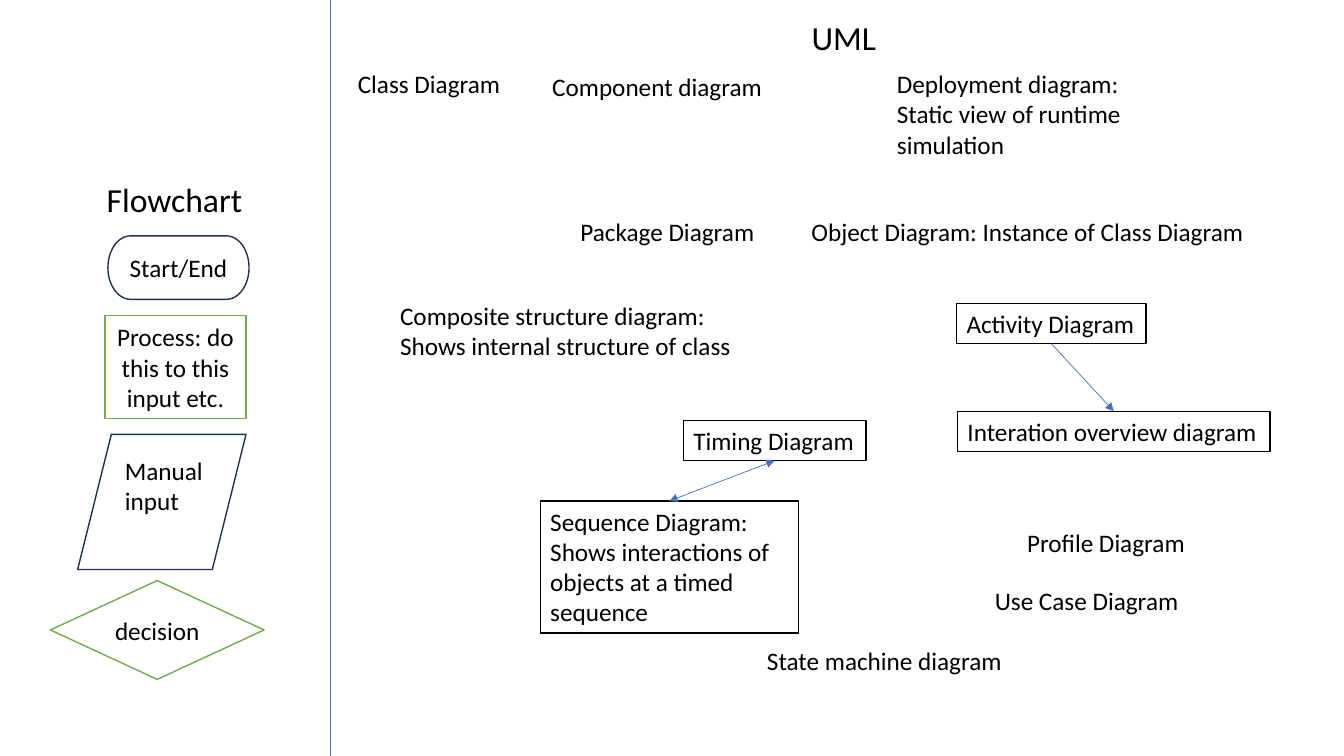
from lxml import etree
from pptx import Presentation, util as u
from pptx.dml.color import RGBColor
from pptx.enum import shapes, text
from pptx.oxml.ns import qn

BLACK = RGBColor(0x00, 0x00, 0x00)
WHITE = RGBColor(0xFF, 0xFF, 0xFF)
NAVY = RGBColor(0x1E, 0x32, 0x56)
GREEN = RGBColor(0x70, 0xAD, 0x47)
BLUE = RGBColor(0x44, 0x72, 0xC4)
WIDTH, HEIGHT = u.Inches(13.33), u.Inches(7.5)
COLUMN, ROW = WIDTH / 100, HEIGHT / 100
DIVIDER = 24.6
LINE, TWO_LINES, THREE_LINES, HEADING = 5.33, 9.47, 13.47, 6.67
LEFT, CENTER = text.PP_ALIGN.LEFT, text.PP_ALIGN.CENTER
TOP, MIDDLE = text.MSO_ANCHOR.TOP, text.MSO_ANCHOR.MIDDLE
KIND = shapes.MSO_SHAPE


def place(origin, left, top, width, height):
    """Turn grid columns and rows, counted from a region's corner, into lengths."""
    return (u.Emu(round((origin[0] + left) * COLUMN)), u.Emu(round((origin[1] + top) * ROW)),
            u.Emu(round(width * COLUMN)), u.Emu(round(height * ROW)))


def write(box, wording, size=18, align=LEFT, anchor=TOP, wrap=False,
          fit=text.MSO_AUTO_SIZE.SHAPE_TO_FIT_TEXT):
    """Fill a box with black Calibri text."""
    frame = box.text_frame
    frame.text = wording
    for name, value in {"word_wrap": wrap, "auto_size": fit, "vertical_anchor": anchor}.items():
        setattr(frame, name, value)
    for para in frame.paragraphs:
        para.alignment = align
        for name, value in {"name": "Calibri", "size": u.Pt(size)}.items():
            setattr(para.font, name, value)
        para.font.color.rgb = BLACK


def add_label(page, area, wording, **style):
    """Add a plain text box."""
    write(page.shapes.add_textbox(*area), wording, **style)


def add_outlined(page, kind, area, color, filled=True):
    """Add a shape with a thin outline."""
    box = page.shapes.add_shape(kind, *area)
    box.shadow.inherit = False
    if filled:
        box.fill.solid()
        box.fill.fore_color.rgb = WHITE
    else:
        box.fill.background()
    box.line.color.rgb = color
    box.line.width = u.Pt(1)
    return box


def add_line(page, start=(0, 0), end=(0, 0), arrows=()):
    """Add a thin blue straight line with optional arrowheads."""
    line = page.shapes.add_connector(shapes.MSO_CONNECTOR.STRAIGHT, *start, *end)
    line.line.color.rgb = BLUE
    line.line.width = u.Pt(0.5)
    for arrow in arrows:
        etree.SubElement(line.line._get_or_add_ln(), qn(f"a:{arrow}"), type="triangle")
    etree.SubElement(line._element.spPr, qn("a:effectLst"))
    return line


def add_flowchart(page, origin):
    """Draw the flowchart symbols under their heading."""
    add_label(page, place(origin, 7.2, 23.07, 11.7, HEADING), "Flowchart", size=24)
    symbols = [
        (KIND.FLOWCHART_TERMINATOR, (8.03, 31.2, 10.5, 8.4), NAVY, "Start/End"),
        (KIND.FLOWCHART_PROCESS, (7.8, 41.73, 10.5, 13.6), GREEN,
         "Process: do this to this input etc."),
        (KIND.FLOWCHART_DECISION, (3.75, 76.8, 15.9, 13.07), GREEN, "decision"),
    ]
    for kind, cells, color, wording in symbols:
        symbol = add_outlined(page, kind, place(origin, *cells), color)
        write(symbol, wording, align=CENTER, anchor=MIDDLE, wrap=True,
              fit=text.MSO_AUTO_SIZE.NONE)
    add_outlined(page, KIND.FLOWCHART_DATA, place(origin, 5.78, 57.47, 12.53, 17.87), NAVY, False)
    add_label(page, place(origin, 8.55, 59.6, 7.8, TWO_LINES), "Manual\ninput")


def add_uml(page, origin):
    """Lay out the UML diagram names, the boxed ones joined by arrows."""
    title = page.shapes.title
    title.left, title.top, title.width, title.height = place(origin, 35.03, 1.6, 6.38, HEADING)
    write(title, "UML", size=24)
    labels = [
        (1.28, 8.4, 12.23, LINE, "Class Diagram"),
        (15.75, 8.8, 17.33, LINE, "Component diagram"),
        (35.03, 28, 34.05, LINE, "Object Diagram: Instance of Class Diagram"),
        (17.85, 28, 15.08, LINE, "Package Diagram"),
        (4.43, 39.07, 26.78, TWO_LINES,
         "Composite structure diagram:\nShows internal structure of class"),
        (51.08, 69.07, 13.35, LINE, "Profile Diagram"),
        (48.68, 76.8, 15.3, LINE, "Use Case Diagram"),
        (31.73, 84.67, 19.2, LINE, "State machine diagram"),
    ]
    for *cells, wording in labels:
        add_label(page, place(origin, *cells), wording)
    add_label(page, place(origin, 41.4, 8.4, 19.28, THREE_LINES),
              "Deployment diagram: Static view of runtime simulation", wrap=True)

    boxed = [
        (46.58, 40.13, 14.1, LINE, "Activity Diagram", False),
        (46.65, 54.4, 23.25, LINE, "Interation overview diagram", False),
        (26.25, 55.6, 13.58, LINE, "Timing Diagram", False),
        (15.6, 66.27, 19.2, 17.47,
         "Sequence Diagram:\nShows interactions of objects at a timed sequence", True),
    ]
    boxes = []
    for *cells, wording, wrap in boxed:
        box = add_outlined(page, KIND.RECTANGLE, place(origin, *cells), BLACK)
        write(box, wording, wrap=wrap)
        boxes.append(box)
    activity, overview, timing, sequence = boxes
    for upper, lower, arrows in [(activity, overview, ["tailEnd"]),
                                 (timing, sequence, ["headEnd", "tailEnd"])]:
        link = add_line(page, arrows=arrows)
        link.begin_connect(upper, 2)
        link.end_connect(lower, 0)


def main():
    """Build the slide and save it."""
    deck = Presentation()
    deck.slide_width, deck.slide_height = WIDTH, HEIGHT
    page = deck.slides.add_slide(deck.slide_layouts[5])
    add_flowchart(page, (0, 0))
    edge = round(DIVIDER * COLUMN)
    add_line(page, (edge, 0), (edge, HEIGHT))
    add_uml(page, (DIVIDER, 0))
    deck.save("out.pptx")


if __name__ == "__main__":
    main()
